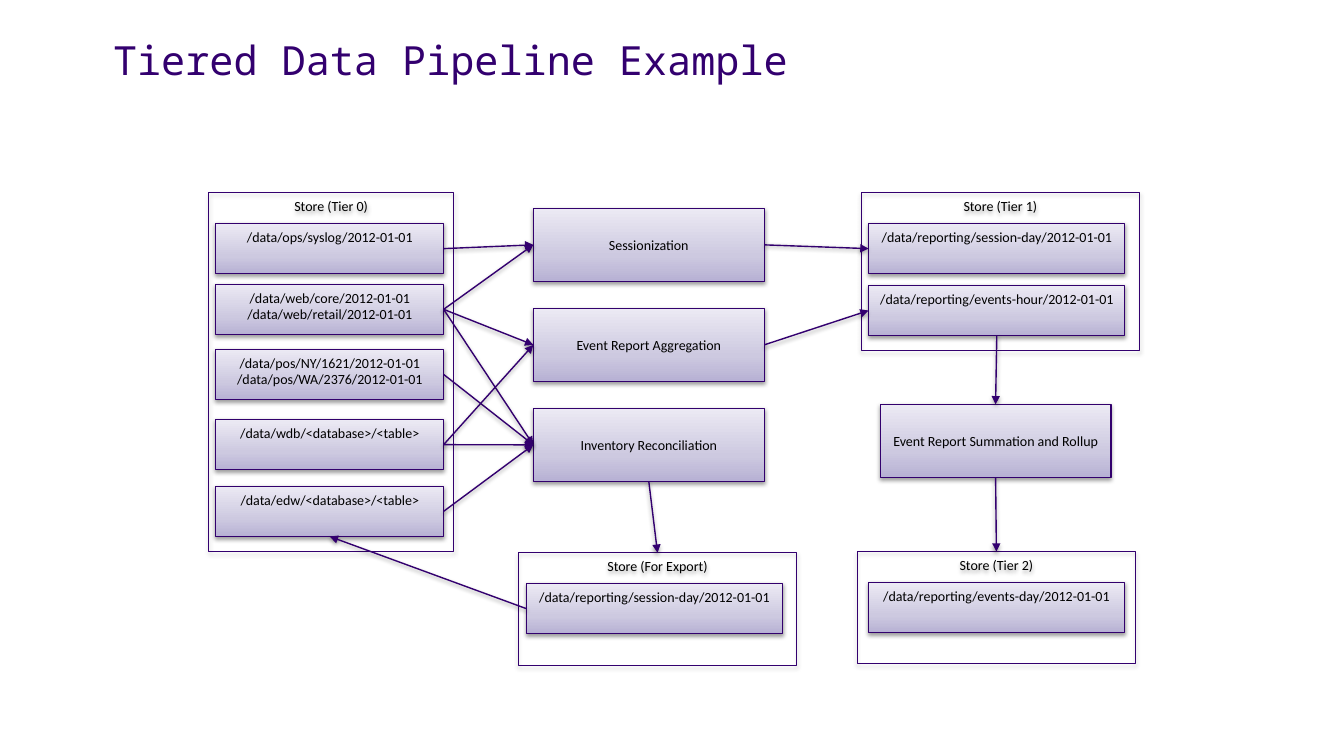
from dataclasses import dataclass

from pptx import Presentation
from pptx.dml.color import RGBColor
from pptx.enum.shapes import MSO_CONNECTOR as Link, MSO_SHAPE as Preset
from pptx.enum.text import MSO_ANCHOR as Anchor, PP_ALIGN as Align
from pptx.oxml import parse_xml
from pptx.oxml.ns import nsdecls, qn
from pptx.util import Cm, Pt

COLORS = {
    "title": "33006F",
    "edge": "32006D",
    "flow": "33006F",
    "text": "000000",
    "shadow": "000000",
}
BOX_GRADIENT = {0: "B7B1D4", 35: "CDC9E0", 100: "ECEAF4"}
TOP, LEFT, BOTTOM, RIGHT = range(4)
DATASET_HEIGHT = 1.27
JOB_WIDTH, JOB_HEIGHT = 5.82, 1.84
JOBS_LEFT, JOBS_TOP, JOB_PITCH = 13.44, 5.25, 2.52


@dataclass(frozen=True)
class Block:
    key: str
    lines: tuple[str, ...]
    left: float
    top: float
    width: float
    height: float
    kind: str = "dataset"


@dataclass(frozen=True)
class Flow:
    source: str
    target: str
    source_side: int = RIGHT
    target_side: int = LEFT


def panel(key: str, stage: str, left: float, top: float, width: float, height: float) -> Block:
    return Block(key, (f"Store ({stage})",), left, top, width, height, "panel")


def dataset(key: str, left: float, top: float, width: float, *lines: str) -> Block:
    return Block(key, lines, left, top, width, DATASET_HEIGHT)


def tier0(key: str, top: float, *lines: str) -> Block:
    return dataset(key, 5.44, top, 5.74, *lines)


def report(key: str, left: float, top: float, name: str) -> Block:
    return dataset(key, left, top, 6.46, f"/data/reporting/{name}/2012-01-01")


def job(key: str, label: str, left: float, top: float) -> Block:
    return Block(key, (label,), left, top, JOB_WIDTH, JOB_HEIGHT, "job")


PANELS = [
    panel("tier 0", "Tier 0", 5.26, 4.86, 6.17, 9.04),
    panel("tier 1", "Tier 1", 21.7, 4.86, 7.02, 3.96),
    panel("export", "For Export", 13.06, 13.93, 7.02, 2.83),
    panel("tier 2", "Tier 2", 21.6, 13.9, 7.02, 2.82),
]
DATASETS = [
    tier0("syslog", 5.63, "/data/ops/syslog/2012-01-01"),
    tier0("web", 7.16, "/data/web/core/2012-01-01", "/data/web/retail/2012-01-01"),
    tier0("pos", 8.8, "/data/pos/NY/1621/2012-01-01", "/data/pos/WA/2376/2012-01-01"),
    tier0("wdb", 10.57, "/data/wdb/<database>/<table>"),
    tier0("edw", 12.25, "/data/edw/<database>/<table>"),
    report("session day", 21.89, 5.63, "session-day"),
    report("events hour", 21.89, 7.19, "events-hour"),
    report("events day", 21.88, 14.68, "events-day"),
    report("exported day", 13.26, 14.7, "session-day"),
]
JOB_LABELS = {
    "sessions": "Sessionization",
    "events": "Event Report Aggregation",
    "inventory": "Inventory Reconciliation",
}
JOBS = [
    job(key, label, JOBS_LEFT, JOBS_TOP + row * JOB_PITCH)
    for row, (key, label) in enumerate(JOB_LABELS.items())
] + [job("rollup", "Event Report Summation and Rollup", 22.18, 10.19)]
FLOWS = [
    Flow("syslog", "sessions"),
    Flow("web", "sessions"),
    Flow("web", "events"),
    Flow("web", "inventory"),
    Flow("pos", "inventory"),
    Flow("wdb", "events"),
    Flow("wdb", "inventory"),
    Flow("edw", "inventory"),
    Flow("sessions", "session day"),
    Flow("events", "events hour"),
    Flow("events hour", "rollup", BOTTOM, TOP),
    Flow("rollup", "tier 2", BOTTOM, TOP),
    Flow("inventory", "export", BOTTOM, TOP),
    Flow("exported day", "edw", LEFT, BOTTOM),
]


def write(frame, *lines: str, font: str = "Calibri", size: float = 10, color: str = "text",
          align=Align.CENTER, anchor=Anchor.TOP, spacing: float | None = None,
          before: float | None = None) -> None:
    frame.word_wrap = True
    frame.vertical_anchor = anchor
    for index, line in enumerate(lines):
        paragraph = frame.add_paragraph() if index else frame.paragraphs[0]
        paragraph.alignment = align
        if spacing is not None:
            paragraph.line_spacing = spacing
        if before is not None:
            paragraph.space_before = Pt(before)
        run = paragraph.add_run()
        run.text = line
        run.font.name = font
        run.font.size = Pt(size)
        run.font.color.rgb = RGBColor.from_string(COLORS[color])


def set_line(line, color: str, width: float) -> None:
    line.color.rgb = RGBColor.from_string(COLORS[color])
    line.width = Pt(width)


def soft_shadow(properties, distance: float, opacity: int) -> None:
    for old in properties.findall(qn("a:effectLst")):
        properties.remove(old)
    properties.append(parse_xml(
        f'<a:effectLst {nsdecls("a")}><a:outerShdw blurRad="{Pt(3.1)}" dist="{Pt(distance)}" '
        f'dir="5400000" rotWithShape="0"><a:srgbClr val="{COLORS["shadow"]}">'
        f'<a:alpha val="{opacity * 1000}"/></a:srgbClr></a:outerShdw></a:effectLst>'))


def gradient_fill(properties) -> None:
    stops = "".join(f'<a:gs pos="{position * 1000}"><a:srgbClr val="{color}"/></a:gs>'
                    for position, color in BOX_GRADIENT.items())
    properties.find(qn("a:prstGeom")).addnext(parse_xml(
        f'<a:gradFill {nsdecls("a")} rotWithShape="1"><a:gsLst>{stops}</a:gsLst>'
        f'<a:lin ang="16200000" scaled="0"/></a:gradFill>'))


def draw_block(slide, block: Block):
    box = slide.shapes.add_shape(Preset.RECTANGLE, Cm(block.left), Cm(block.top),
                                 Cm(block.width), Cm(block.height))
    box.shadow.inherit = False
    properties = box._element.spPr
    if block.kind == "panel":
        box.fill.background()
        set_line(box.line, "flow", 0.5)
        soft_shadow(properties, 1.8, 35)
    else:
        gradient_fill(properties)
        set_line(box.line, "edge", 0.75)
        soft_shadow(properties, 1.6, 38)
    write(box.text_frame, *block.lines,
          anchor=Anchor.MIDDLE if block.kind == "job" else Anchor.TOP)
    return box


def draw_flow(slide, flow: Flow, boxes: dict) -> None:
    arrow = slide.shapes.add_connector(Link.STRAIGHT, 0, 0, 0, 0)
    arrow.begin_connect(boxes[flow.source], flow.source_side)
    arrow.end_connect(boxes[flow.target], flow.target_side)
    set_line(arrow.line, "flow", 1)
    properties = arrow._element.spPr
    properties.find(qn("a:ln")).append(
        parse_xml(f'<a:tailEnd {nsdecls("a")} type="triangle"/>'))
    soft_shadow(properties, 1.6, 38)


def main() -> None:
    deck = Presentation()
    deck.slide_width, deck.slide_height = Cm(33.87), Cm(19.05)
    slide = deck.slides.add_slide(deck.slide_layouts[6])

    # Title
    title = slide.shapes.add_textbox(Cm(2.49), Cm(1.04), Cm(30.3), Cm(1.27)).text_frame
    title.margin_left = title.margin_right = Cm(0.36)
    title.margin_top = title.margin_bottom = Cm(0.18)
    write(title, "Tiered Data Pipeline Example", font="Noto Sans Mono", size=28.7,
          color="title", align=Align.LEFT, spacing=0.7, before=5.7)

    # Storage tiers, datasets and jobs
    boxes = {block.key: draw_block(slide, block) for block in PANELS + DATASETS + JOBS}

    # Data flows
    for flow in FLOWS:
        draw_flow(slide, flow, boxes)

    deck.save("out.pptx")


if __name__ == "__main__":
    main()
